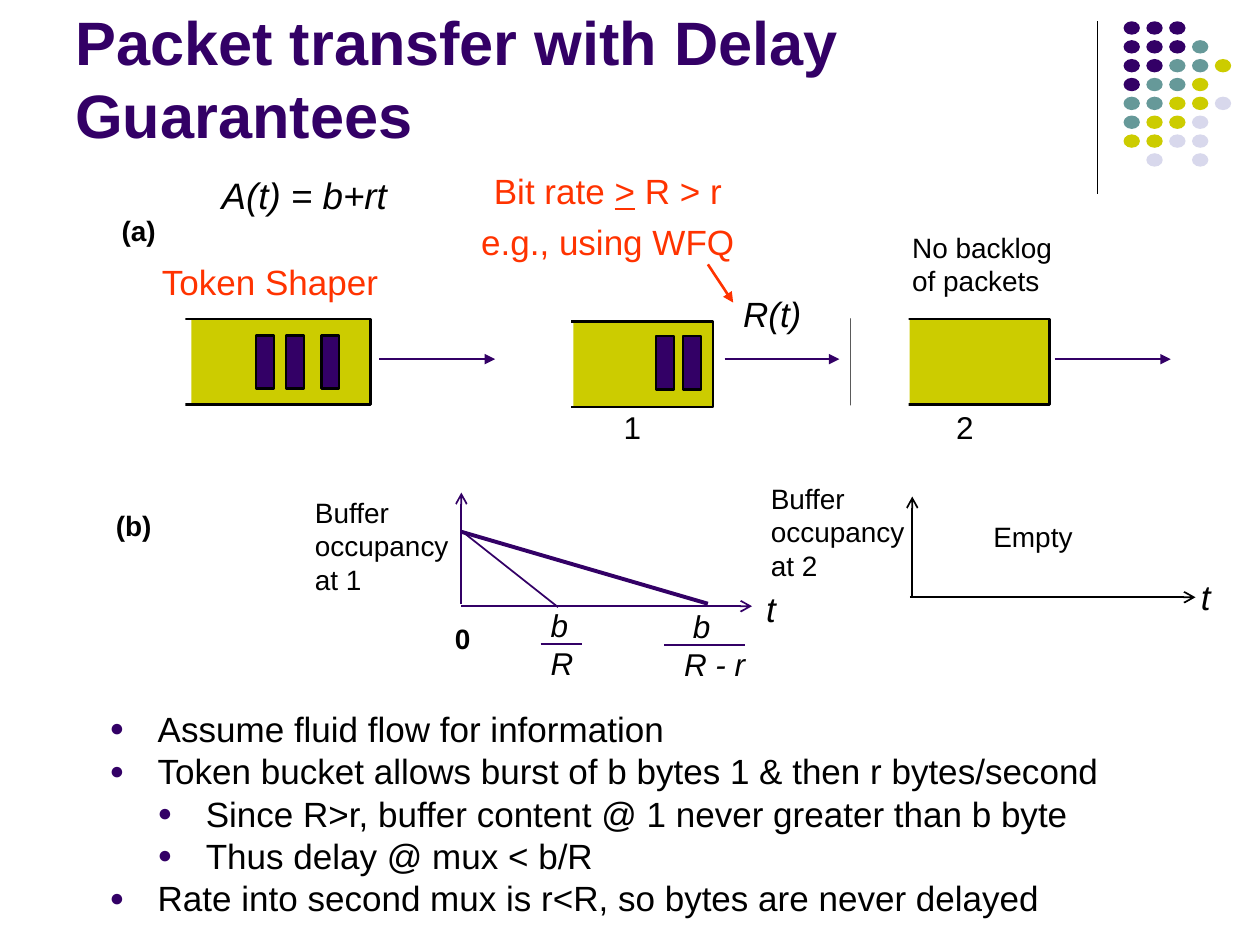
"""Build the slide on packet transfer with delay guarantees."""
from lxml.etree import SubElement
from pptx import Presentation
from pptx.dml.color import RGBColor
from pptx.enum.shapes import MSO_CONNECTOR, MSO_SHAPE
from pptx.enum.text import MSO_ANCHOR, PP_ALIGN
from pptx.oxml.ns import qn
from pptx.util import Cm, Pt

COLORS = {
    "purple": "330066",
    "teal": "669999",
    "olive": "CCCC00",
    "lilac": "D8D8EC",
    "red": "FF3300",
    "black": "000000",
    "white": "FFFFFF",
}

presentation = Presentation()
presentation.slide_width = Cm(25.4)
presentation.slide_height = Cm(19.05)
slide = presentation.slides.add_slide(presentation.slide_layouts[6])


def add_block(kind, left, top, width, height, fill=None, outlined=False):
    shape = slide.shapes.add_shape(kind, Cm(left), Cm(top), Cm(width), Cm(height))
    shape.shadow.inherit = False
    if fill:
        shape.fill.solid()
        shape.fill.fore_color.rgb = RGBColor.from_string(COLORS[fill])
    else:
        shape.fill.background()
    if outlined:
        shape.line.color.rgb = RGBColor.from_string(COLORS["black"])
        shape.line.width = Pt(1.39)
    else:
        shape.line.fill.background()


def add_label(text, left, top, width, height, size, color="black", style="", align=PP_ALIGN.LEFT, wrap=True):
    box = slide.shapes.add_textbox(Cm(left), Cm(top), Cm(width), Cm(height))
    frame = box.text_frame
    frame.word_wrap = wrap
    frame.text = text
    for paragraph in frame.paragraphs:
        paragraph.alignment = align
        paragraph.font.name = "Arial"
        paragraph.font.size = Pt(size)
        paragraph.font.bold = style == "bold"
        paragraph.font.italic = style == "italic"
        paragraph.font.color.rgb = RGBColor.from_string(COLORS[color])
    return frame


dot_colors = {"p": "purple", "t": "teal", "o": "olive", "l": "lilac"}
dot_rows = ["ppp", "pppt", "pptto", "ptto", "ttool", "tool", "ooll", " l l"]
for row, dots in enumerate(dot_rows):
    for column, dot in enumerate(dots):
        if dot in dot_colors:
            add_block(MSO_SHAPE.OVAL, 22.65 + column * 0.46, 0.43 + row * 0.38, 0.33, 0.27, dot_colors[dot])

buffers = [(7.47, 3.61, 2.57, 6.43), (14.38, 2.82, 10.34, 6.48), (21.16, 2.82, 17.15, 6.43)]
for right, fill_width, cover_left, top in buffers:
    add_block(MSO_SHAPE.RECTANGLE, right - fill_width, top, fill_width, 1.73, "olive")
    add_block(MSO_SHAPE.RECTANGLE, right - 4, top, 4, 1.73, outlined=True)
    add_block(MSO_SHAPE.RECTANGLE, cover_left, top - 0.08, 1.17, 1.9, "white")

for left, top in [(5.16, 6.76), (5.77, 6.76), (6.48, 6.76), (13.23, 6.78), (13.77, 6.78)]:
    add_block(MSO_SHAPE.RECTANGLE, left, top, 0.36, 1.07, "purple", outlined=True)

lines = [
    (22.12, 0.43, 22.12, 3.91, "black", 0.75, None),
    (9.3, 12.22, 15.16, 12.22, "purple", 1, "arrow"),
    (9.3, 12.17, 9.3, 9.93, "purple", 1, "arrow"),
    (9.35, 10.74, 11.25, 12.24, "purple", 1, None),
    (9.3, 10.72, 14.27, 12.17, "purple", 2.25, None),
    (10.9, 12.98, 11.73, 12.98, "purple", 1, None),
    (13.39, 13, 15.01, 13, "purple", 1, None),
    (18.34, 12.04, 24.1, 12.04, "black", 1, "arrow"),
    (18.39, 12.04, 18.39, 10.01, "black", 1, "arrow"),
    (7.65, 7.24, 9.98, 7.24, "purple", 1, "triangle"),
    (14.61, 7.24, 16.92, 7.24, "purple", 1, "triangle"),
    (21.26, 7.24, 23.6, 7.24, "purple", 1, "triangle"),
    (14.27, 5.33, 14.78, 6.1, "red", 1.5, "triangle"),
]
for start_x, start_y, end_x, end_y, color, width, arrowhead in lines:
    connector = slide.shapes.add_connector(
        MSO_CONNECTOR.STRAIGHT, Cm(start_x), Cm(start_y), Cm(end_x), Cm(end_y)
    )
    connector.line.color.rgb = RGBColor.from_string(COLORS[color])
    connector.line.width = Pt(width)
    properties = connector.element.spPr
    if arrowhead:
        SubElement(properties.find(qn("a:ln")), qn("a:tailEnd"), type=arrowhead)
    SubElement(properties, qn("a:effectLst"))

title = add_label("Packet transfer with Delay Guarantees", 1.27, 0.33, 20.96, 2.84, 35, "purple", "bold")
title.vertical_anchor = MSO_ANCHOR.BOTTOM

add_label("A(t) = b+rt", 4.22, 3.35, 3.84, 1.14, 21, style="italic", wrap=False)
add_label("R(t)", 14.73, 5.77, 1.8, 1.12, 20, style="italic")
add_label("No backlog of packets", 18.14, 4.52, 3.66, 1.63, 16)
add_label("Buffer occupancy at 1", 6.1, 9.86, 3.51, 2.29, 16)
add_label("Buffer occupancy at 2", 15.29, 9.58, 3.45, 2.29, 16)
add_label("0", 8.92, 12.4, 0.99, 0.91, 16, style="bold")
add_label("b\nR", 10.85, 12.09, 0.86, 1.78, 18, style="italic")

fraction = add_label("b\nR - r", 13.36, 12.12, 2.11, 1.78, 18, style="italic")
for paragraph, indent in zip(fraction.paragraphs, (0.36, 0.18)):
    paragraph._p.get_or_add_pPr().set("marL", str(Cm(indent)))

for text, left, top in [("(a)", 1.88, 4.19), ("(b)", 1.78, 10.13)]:
    add_label(text, left, top, 1.83, 0.91, 16, style="bold", align=PP_ALIGN.CENTER)
add_label("Empty", 19.02, 10.34, 3.61, 0.91, 16, align=PP_ALIGN.CENTER)
for left, top in [(23.95, 11.48), (15.19, 11.71)]:
    add_label("t", left, top, 0.71, 1.09, 20, style="italic", align=PP_ALIGN.CENTER, wrap=False)
for text, left in [("1", 12.32), ("2", 19.02)]:
    number = add_label(text, left, 8.1, 0.86, 1.02, 18, align=PP_ALIGN.CENTER, wrap=False)
    number.vertical_anchor = MSO_ANCHOR.MIDDLE

add_label("Token Shaper", 2.97, 5.13, 4.95, 1.12, 20, "red", align=PP_ALIGN.CENTER, wrap=False)
rate = add_label("Bit rate \ne.g., using WFQ", 9.45, 3.3, 5.61, 2.13, 20, "red", align=PP_ALIGN.CENTER, wrap=False)
bit_rate, example = rate.paragraphs
at_least = bit_rate.add_run()
at_least.text = ">"
at_least.font.underline = True
bit_rate.add_run().text = " R > r"
example.space_before = Pt(5)

bullets = [
    (0, "Assume fluid flow for information"),
    (0, "Token bucket allows burst of b bytes 1 & then r bytes/second"),
    (1, "Since R>r, buffer content @ 1 never greater than b byte"),
    (1, "Thus delay @ mux < b/R"),
    (0, "Rate into second mux is r<R, so bytes are never delayed"),
]
box = slide.shapes.add_textbox(Cm(1.96), Cm(14.3), Cm(20.68), Cm(4.14))
frame = box.text_frame
frame.word_wrap = True
for index, (level, text) in enumerate(bullets):
    paragraph = frame.add_paragraph() if index else frame.paragraphs[0]
    paragraph.text = text
    paragraph.level = level
    paragraph.line_spacing = 0.8
    if index:
        paragraph.space_before = Pt(5)
    properties = paragraph._p.get_or_add_pPr()
    properties.set("marL", str(Cm(0.97 * (level + 1))))
    properties.set("indent", str(Cm(-0.97)))
    bullet_color = SubElement(properties, qn("a:buClr"))
    SubElement(bullet_color, qn("a:srgbClr"), val=COLORS["purple"])
    SubElement(properties, qn("a:buSzPct"), val="70000")
    SubElement(properties, qn("a:buFont"), typeface="Arial")
    SubElement(properties, qn("a:buChar"), char="●")
    paragraph.font.name = "Arial"
    paragraph.font.size = Pt(20)
    paragraph.font.color.rgb = RGBColor.from_string(COLORS["black"])

presentation.save("out.pptx")
